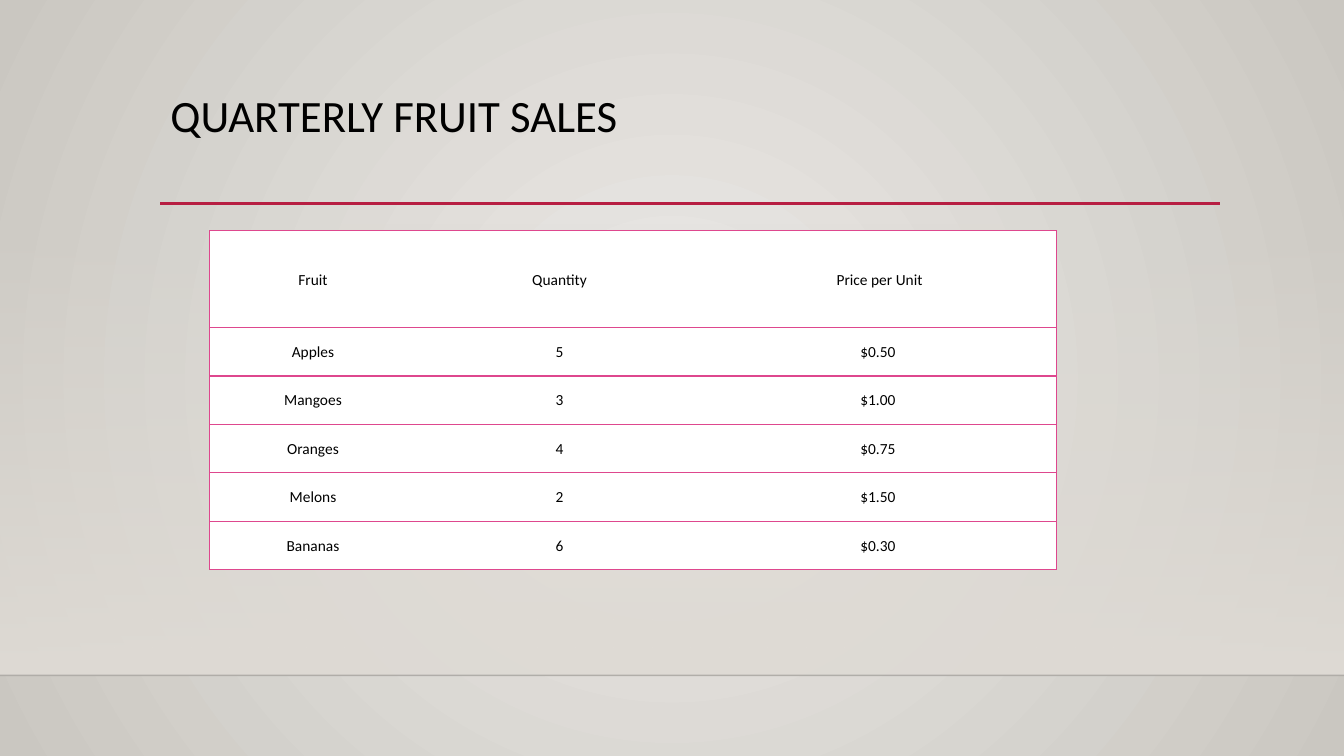
from dataclasses import dataclass

from lxml import etree
from pptx import Presentation
from pptx.dml.color import RGBColor
from pptx.enum import shapes, text
from pptx.oxml import ns
from pptx.util import Inches, Pt

TITLE = "QUARTERLY FRUIT SALES"
SALES = [
    ("Fruit", "Quantity", "Price per Unit"),
    ("Apples", "5", "$0.50 "),
    ("Mangoes", "3", "$1.00 "),
    ("Oranges", "4", "$0.75 "),
    ("Melons", "2", "$1.50 "),
    ("Bananas", "6", "$0.30 "),
]
COL_WIDTHS = (2.05, 2.84, 3.51)
HEADER_HEIGHT, ROW_HEIGHT = 0.96, 0.48
SLIDE_W, SLIDE_H = 13.33, 7.5
FLOOR_TOP, FLOOR_Y = 2.21, 6.7


@dataclass(frozen=True)
class Theme:
    font: str = "Calibri"
    title_size: int = 32
    cell_size: int = 11
    ink: str = "000000"
    cell: str = "FFFFFF"
    border: str = "DE478E"
    accent: str = "B71E42"
    center: str = "ECEAE7"
    edge: str = "CAC7C1"
    floor: str = "DFDBD5"


THEME = Theme()


def rgb(value):
    return RGBColor.from_string(value)


def add_child(parent, tag, **attrs):
    return etree.SubElement(parent, ns.qn(tag), attrs)


def set_alpha(color_parent, percent):
    color = next(color_parent.iter(ns.qn("a:srgbClr")))
    add_child(color, "a:alpha", val=str(percent * 1000))


def set_gradient(fill, start, end):
    fill.gradient()
    for stop, color, position in zip(fill.gradient_stops, (start, end), (0, 1)):
        stop.color.rgb = rgb(color)
        stop.position = position


def style_font(paragraph, size):
    for r in paragraph.runs:
        r.font.name = THEME.font
        r.font.size = Pt(size)
        r.font.color.rgb = rgb(THEME.ink)


def add_background(s):
    fill = s.background.fill
    set_gradient(fill, THEME.center, THEME.edge)
    grad = next(s.background._cSld.iter(ns.qn("a:gradFill")))
    grad.remove(grad.find(ns.qn("a:lin")))
    circle = add_child(grad, "a:path", path="circle")
    add_child(circle, "a:fillToRect", l="50000", t="50000", r="50000", b="50000")


def add_floor_fade(s):
    sp = s.shapes.add_shape(shapes.MSO_SHAPE.RECTANGLE, 0, Inches(FLOOR_TOP),
                            Inches(SLIDE_W), Inches(FLOOR_Y - FLOOR_TOP))
    sp.shadow.inherit = False
    sp.line.fill.background()
    set_gradient(sp.fill, THEME.floor, THEME.floor)
    sp.fill.gradient_angle = 270
    set_alpha(next(sp._element.spPr.iter(ns.qn("a:gs"))), 0)


def add_rule(s, x1, x2, y, color, width):
    line = s.shapes.add_connector(shapes.MSO_CONNECTOR.STRAIGHT,
                                  Inches(x1), Inches(y), Inches(x2), Inches(y))
    line.line.color.rgb = rgb(color)
    line.line.width = Pt(width)
    add_child(line._element.spPr, "a:effectLst")
    return line


def set_title(s):
    sp = s.shapes.title
    sp.left, sp.top, sp.width, sp.height = map(Inches, (1.59, 0.88, 10.5, 1.15))
    tf = sp.text_frame
    tf.text = TITLE
    tf.vertical_anchor = text.MSO_ANCHOR.TOP
    p = tf.paragraphs[0]
    p.alignment = text.PP_ALIGN.LEFT
    p.line_spacing = 0.9
    style_font(p, THEME.title_size)


def set_borders(cell, sides):
    """Draw the named sides (L, R, T, B) and leave the others without a line."""
    props = cell._tc.get_or_add_tcPr()
    for i, side in enumerate("LRTB"):
        ln = etree.Element(ns.qn(f"a:ln{side}"), w=str(Pt(1)))
        if side in sides:
            add_child(add_child(ln, "a:solidFill"), "a:srgbClr", val=THEME.border)
        else:
            add_child(ln, "a:noFill")
        props.insert(i, ln)


def add_sales_table(s):
    heights = [HEADER_HEIGHT] + [ROW_HEIGHT] * (len(SALES) - 1)
    table = s.shapes.add_table(len(SALES), len(COL_WIDTHS), Inches(2.08), Inches(2.29),
                               Inches(sum(COL_WIDTHS)), Inches(sum(heights))).table
    for col, width in zip(table.columns, COL_WIDTHS):
        col.width = Inches(width)
    for row, height, values in zip(table.rows, heights, SALES):
        row.height = Inches(height)
        for cell, value, sides in zip(row.cells, values, ("LTB", "TB", "RTB")):
            cell.text = value
            cell.vertical_anchor = text.MSO_ANCHOR.MIDDLE
            cell.margin_left = cell.margin_right = cell.margin_top = Inches(0.01)
            cell.margin_bottom = 0
            cell.fill.solid()
            cell.fill.fore_color.rgb = rgb(THEME.cell)
            p = cell.text_frame.paragraphs[0]
            p.alignment = text.PP_ALIGN.CENTER
            style_font(p, THEME.cell_size)
            set_borders(cell, sides)


def main():
    prs = Presentation()
    prs.slide_width, prs.slide_height = Inches(SLIDE_W), Inches(SLIDE_H)
    s = prs.slides.add_slide(prs.slide_layouts[5])
    add_background(s)
    add_floor_fade(s)
    floor_line = add_rule(s, 0, SLIDE_W, FLOOR_Y, THEME.ink, 1)
    set_alpha(floor_line._element.spPr, 20)
    add_rule(s, 1.59, 12.1, 2.02, THEME.accent, 2.5)
    set_title(s)
    add_sales_table(s)
    prs.save("out.pptx")


if __name__ == "__main__":
    main()
